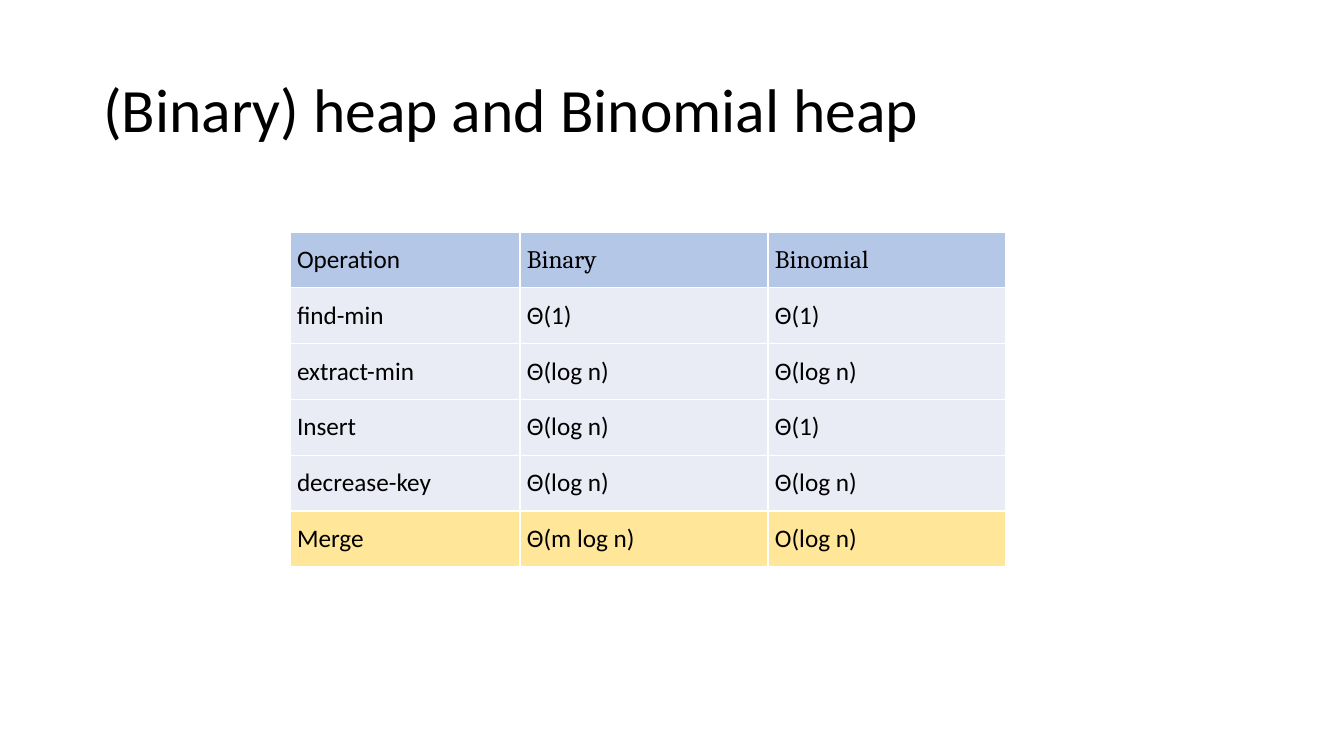
import lxml.etree
import pptx
import pptx.dml.color
import pptx.enum.text
import pptx.oxml.ns
import pptx.util

PX = 914400 / 100.8
BLACK = pptx.dml.color.RGBColor(0x00, 0x00, 0x00)
WHITE = pptx.dml.color.RGBColor(0xFF, 0xFF, 0xFF)
HEADER_BLUE = pptx.dml.color.RGBColor(0xB4, 0xC7, 0xE7)
BODY_GREY = pptx.dml.color.RGBColor(0xE9, 0xEB, 0xF5)
MERGE_YELLOW = pptx.dml.color.RGBColor(0xFF, 0xE6, 0x99)

COSTS = [
    ("Operation", "Binary", "Binomial"),
    ("find-min", "Θ(1)", "Θ(1)"),
    ("extract-min", "Θ(log n)", "Θ(log n)"),
    ("Insert", "Θ(log n)", "Θ(1)"),
    ("decrease-key", "Θ(log n)", "Θ(log n)"),
    ("Merge", "Θ(m log n)", "O(log n)"),
]
ROW_FILLS = [HEADER_BLUE] + [BODY_GREY] * 4 + [MERGE_YELLOW]
COLUMN_SHARES = (230, 248, 238)


def px(length):
    """Turn a length in px into EMU."""
    return pptx.util.Emu(round(length * PX))


def set_font(paragraph, size, name):
    """Give a paragraph its black, regular font."""
    paragraph.font.size = pptx.util.Pt(size)
    paragraph.font.name = name
    paragraph.font.bold = False
    paragraph.font.color.rgb = BLACK


def add_borders(cell):
    """Draw thin white lines on all four sides of a cell."""
    properties = cell._tc.get_or_add_tcPr()
    for position, side in enumerate(("lnL", "lnR", "lnT", "lnB")):
        line = lxml.etree.Element(pptx.oxml.ns.qn(f"a:{side}"), w=str(pptx.util.Pt(1)))
        fill = lxml.etree.SubElement(line, pptx.oxml.ns.qn("a:solidFill"))
        lxml.etree.SubElement(fill, pptx.oxml.ns.qn("a:srgbClr"), val=str(WHITE))
        properties.insert(position, line)


def place_title(slide, text, left, top, width, height):
    """Place the slide title in the given box."""
    title = slide.shapes.title
    title.left, title.top, title.width, title.height = map(px, (left, top, width, height))
    title.text_frame.text = text
    title.text_frame.vertical_anchor = pptx.enum.text.MSO_ANCHOR.MIDDLE
    heading = title.text_frame.paragraphs[0]
    heading.alignment = pptx.enum.text.PP_ALIGN.LEFT
    heading.line_spacing = 0.9
    set_font(heading, 44, "Calibri")


def fill_cell(cell, text, color, font_name):
    """Write and format one table cell."""
    cell.text = text
    cell.vertical_anchor = pptx.enum.text.MSO_ANCHOR.MIDDLE
    cell.margin_left = cell.margin_right = px(7)
    cell.margin_top = cell.margin_bottom = 0
    cell.fill.solid()
    cell.fill.fore_color.rgb = color
    set_font(cell.text_frame.paragraphs[0], 18, font_name)
    add_borders(cell)


def place_cost_table(slide, left, top, width, height):
    """Place the table of heap operation costs in the given box."""
    costs = slide.shapes.add_table(
        len(COSTS), len(COLUMN_SHARES), px(left), px(top), px(width), px(height)
    ).table
    costs.first_row = costs.horz_banding = False
    for column, share in zip(costs.columns, COLUMN_SHARES):
        column.width = px(width * share / sum(COLUMN_SHARES))
    for row_index, (entries, color) in enumerate(zip(COSTS, ROW_FILLS)):
        costs.rows[row_index].height = px(height / len(COSTS))
        for column_index, entry in enumerate(entries):
            is_heap_name = row_index == 0 and column_index > 0
            font_name = "Cambria" if is_heap_name else "Calibri"
            fill_cell(costs.cell(row_index, column_index), entry, color, font_name)


def main():
    """Build and save the heap comparison slide."""
    deck = pptx.Presentation()
    deck.slide_width, deck.slide_height = px(1344), px(756)
    slide = deck.slides.add_slide(deck.slide_layouts[5])
    place_title(slide, "(Binary) heap and Binomial heap", 93, 40, 1159, 146)
    place_cost_table(slide, 290, 232, 716, 335)
    deck.save("out.pptx")


if __name__ == "__main__":
    main()
